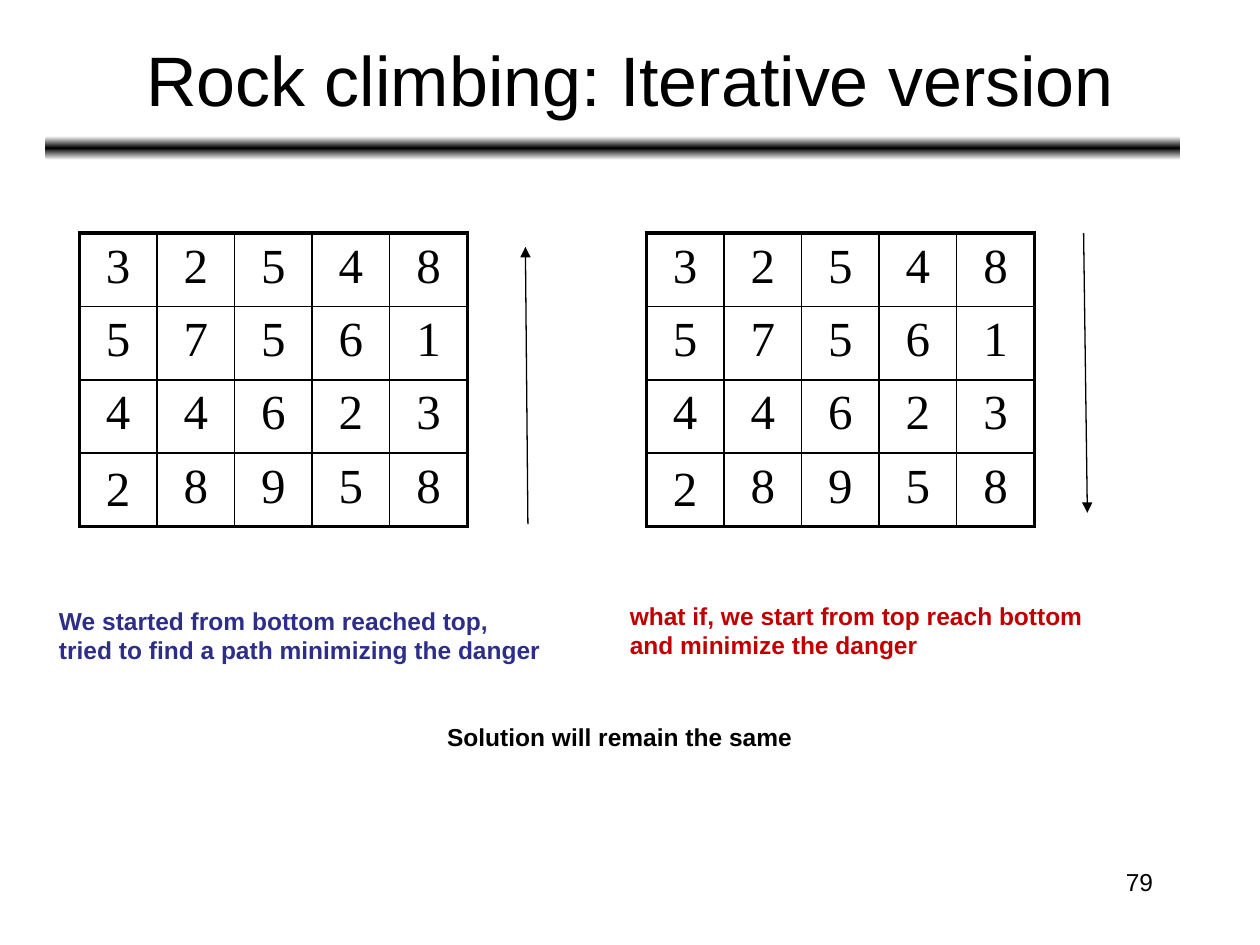
from copy import deepcopy

from lxml import etree
from pptx import Presentation
from pptx.dml.color import RGBColor
from pptx.enum.shapes import MSO_CONNECTOR, MSO_SHAPE
from pptx.enum.text import MSO_ANCHOR, MSO_AUTO_SIZE, PP_ALIGN
from pptx.oxml.ns import qn
from pptx.util import Inches, Pt

STRAIGHT = MSO_CONNECTOR.STRAIGHT
ROUNDED = MSO_SHAPE.ROUNDED_RECTANGLE
TOP, MIDDLE = MSO_ANCHOR.TOP, MSO_ANCHOR.MIDDLE
GROW, FIXED = MSO_AUTO_SIZE.SHAPE_TO_FIT_TEXT, MSO_AUTO_SIZE.NONE
LEFT, CENTER, RIGHT = PP_ALIGN.LEFT, PP_ALIGN.CENTER, PP_ALIGN.RIGHT

BLACK, WHITE, BLUE, RED = "000000", "FFFFFF", "2D2D8A", "C00000"
DANGERS = [
    [3, 2, 5, 4, 8],
    [5, 7, 5, 6, 1],
    [4, 4, 6, 2, 3],
    [2, 8, 9, 5, 8],
]
TITLE_FONT = {"name": "Arial", "size": Pt(40)}
NUMBER_FONT = {"name": "Arial", "size": Pt(14)}
NOTE_FONT = {"name": "Arial", "size": Pt(14), "bold": True}
CELL_FONT = {"name": "Times New Roman", "size": Pt(28)}


def color(value):
    return RGBColor.from_string(value)


def inches(values):
    return [Inches(value) for value in values]


def write(frame, text, font, align, fill=BLACK):
    para = frame.paragraphs[0]
    para.alignment = align
    span = para.add_run()
    span.text = text
    for name, value in font.items():
        setattr(span.font, name, value)
    span.font.color.rgb = color(fill)


def add_text(page, box, text, font, align=LEFT, fill=BLACK, anchor=TOP, inset=0.05, size=FIXED):
    frame = page.shapes.add_textbox(*inches(box)).text_frame
    settings = {
        "word_wrap": True,
        "auto_size": size,
        "vertical_anchor": anchor,
        "margin_top": Inches(inset),
        "margin_bottom": Inches(inset),
    }
    for name, value in settings.items():
        setattr(frame, name, value)
    write(frame, text, font, align, fill)


def add_note(page, box, text, fill):
    add_text(page, box, text, NOTE_FONT, fill=fill, inset=0.1, size=GROW)


def add_title_bar(page, box):
    bar = page.shapes.add_shape(ROUNDED, *inches(box))
    bar.shadow.inherit = False
    bar.line.fill.background()
    bar.fill.gradient()
    bar.fill.gradient_angle = 90
    first, last = bar.fill.gradient_stops
    for stop, value, position in ((first, WHITE, 0), (last, BLACK, 0.5)):
        stop.color.rgb = color(value)
        stop.position = position
    stops = bar.fill._fill._gradFill.find(qn("a:gsLst"))
    end = deepcopy(stops[0])
    end.set("pos", "100000")
    stops.append(end)


def add_border(cell, side, width):
    line = etree.SubElement(cell._tc.get_or_add_tcPr(), qn(f"a:ln{side}"), w=str(Pt(width)))
    fill = etree.SubElement(line, qn("a:solidFill"))
    etree.SubElement(fill, qn("a:srgbClr"), val=BLACK)


def add_grid(page, box):
    rows, columns = len(DANGERS), len(DANGERS[0])
    table = page.shapes.add_table(rows, columns, *inches(box)).table
    table.first_row = table.horz_banding = False
    for row, dangers in enumerate(DANGERS):
        for column, danger in enumerate(dangers):
            cell = table.cell(row, column)
            outer = {
                "L": column == 0,
                "R": column == columns - 1,
                "T": row == 0,
                "B": row == rows - 1,
            }
            for side, is_outer in outer.items():
                add_border(cell, side, 2.25 if is_outer else 1)
            cell.fill.background()
            cell.vertical_anchor = MIDDLE if outer["L"] and outer["B"] else TOP
            write(cell.text_frame, str(danger), CELL_FONT, CENTER)


def add_arrow(page, start, end):
    arrow = page.shapes.add_connector(STRAIGHT, *inches(start + end))
    arrow.line.width = Pt(0.75)
    arrow.line.color.rgb = color(BLACK)
    etree.SubElement(arrow.line._get_or_add_ln(), qn("a:tailEnd"), type="triangle")
    etree.SubElement(arrow._element.spPr, qn("a:effectLst"))


def add_direction(page, grid_left, start, end, note_box, note, fill):
    add_grid(page, (grid_left, 1.85, 3.08, 2.33))
    add_arrow(page, start, end)
    add_note(page, note_box, note, fill)


def main():
    deck = Presentation()
    deck.slide_width, deck.slide_height = inches((10, 7.5))
    page = deck.slides.add_slide(deck.slide_layouts[6])
    add_title_bar(page, (0.36, 1.08, 9.01, 0.19))
    add_text(page, (0.75, 0, 8.5, 1.25), "Rock climbing: Iterative version",
             TITLE_FONT, CENTER, anchor=MIDDLE)
    add_text(page, (7.17, 6.83, 2.08, 0.5), "79", NUMBER_FONT, RIGHT)
    add_direction(page, 0.63, (4.19, 4.16), (4.17, 1.96), (0.37, 4.71, 4.07, 0.67),
                  "We started from bottom reached top, tried to find a path minimizing the danger", BLUE)
    add_direction(page, 5.13, (8.6, 1.85), (8.63, 4.07), (4.9, 4.67, 4.07, 0.67),
                  "what if, we start from top reach bottom and minimize the danger", RED)
    add_note(page, (3.45, 5.63, 3.21, 0.44), "Solution will remain the same", BLACK)
    deck.save("out.pptx")


if __name__ == "__main__":
    main()
